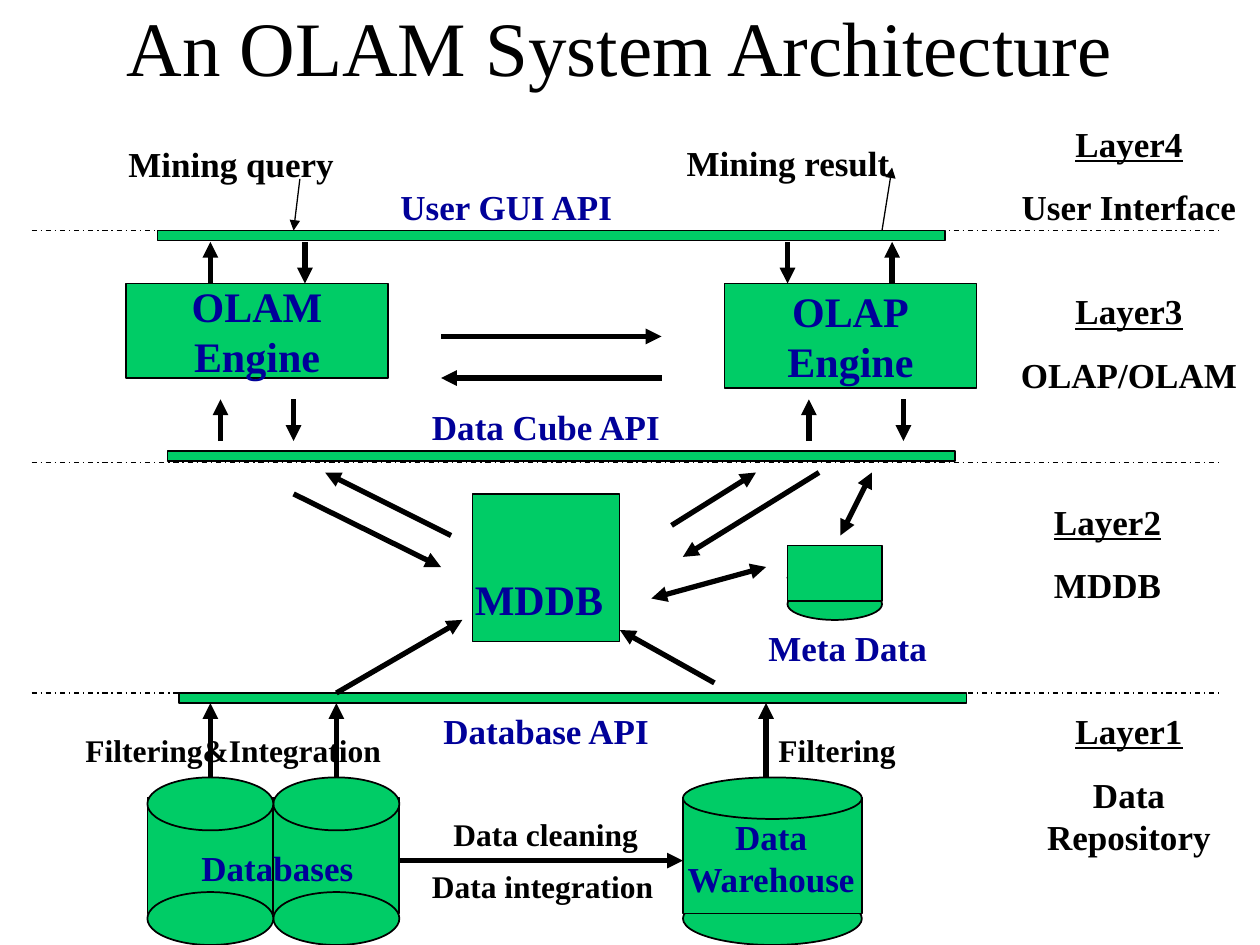
from lxml.etree import SubElement
from pptx import Presentation
from pptx.dml.color import RGBColor
from pptx.enum.dml import MSO_LINE
from pptx.enum.shapes import MSO_CONNECTOR, MSO_SHAPE
from pptx.enum.text import MSO_ANCHOR, PP_ALIGN
from pptx.oxml.ns import qn
from pptx.util import Inches, Pt

BLACK, BLUE, GREEN = "000000", "000099", "00CC66"
FONT = "Times New Roman"
RECT, OVAL = MSO_SHAPE.RECTANGLE, MSO_SHAPE.OVAL


def paint(form, color):
    """Give a fill or font a solid colour from a hex string."""
    form.rgb = RGBColor.from_string(color)


class Board:
    """The current slide and the style of its parts."""

    def __init__(self, slide):
        self.shapes = slide.shapes

    def label(self, frame, text, size, color, bold=True, center=True, gap=0):
        """Fill a frame, one paragraph a line, with gap points between them."""
        frame.text = text
        for i, para in enumerate(frame.paragraphs):
            para.alignment = PP_ALIGN.CENTER if center else PP_ALIGN.LEFT
            para.space_before = Pt(gap if i else 0)
            para.font.name, para.font.size = FONT, Pt(size)
            para.font.bold = bold
            paint(para.font.color, color)

    def text(self, x, y, w, h, text, size=20, color=BLACK, **style):
        box = self.shapes.add_textbox(Inches(x), Inches(y), Inches(w), Inches(h))
        box.text_frame.word_wrap = True
        self.label(box.text_frame, text, size, color, **style)
        return box.text_frame

    def shape(self, kind, x, y, w, h, line=1):
        item = self.shapes.add_shape(kind, Inches(x), Inches(y), Inches(w), Inches(h))
        item.shadow.inherit = False
        item.fill.solid()
        paint(item.fill.fore_color, GREEN)
        paint(item.line.color, BLACK)
        item.line.width = Pt(line)
        return item

    def engine(self, x, w, h, name):
        frame = self.shape(RECT, x, 2.25, w, h).text_frame
        frame.word_wrap = False
        frame.vertical_anchor = MSO_ANCHOR.MIDDLE
        self.label(frame, f"{name}\nEngine", 24, BLUE)

    def line(self, x1, y1, x2, y2, width=0.75):
        item = self.shapes.add_connector(
            MSO_CONNECTOR.STRAIGHT, Inches(x1), Inches(y1), Inches(x2), Inches(y2))
        paint(item.line.color, BLACK)
        item.line.width = Pt(width)
        SubElement(item._element.spPr, qn("a:effectLst"))
        return item

    def arrow(self, x1, y1, x2, y2, width=3, both=False):
        """Point from the first end to the second, or both ways."""
        item = self.line(x1, y1, x2, y2, width)
        ends = ("a:headEnd", "a:tailEnd") if both else ("a:tailEnd",)
        for end in ends:
            SubElement(item.line._get_or_add_ln(), qn(end), type="triangle")


def main():
    deck = Presentation()
    deck.slide_width, deck.slide_height = Inches(10), Inches(7.5)
    board = Board(deck.slides.add_slide(deck.slide_layouts[6]))

    title = board.text(0.42, 0.08, 9, 0.57, "An OLAM System Architecture", 44, bold=False)
    title.vertical_anchor = MSO_ANCHOR.MIDDLE

    # Layer bars and borders
    for x, y, border in ((1.25, 1.83, 1.83), (1.33, 3.58, 3.67), (1.42, 5.5, 5.5)):
        board.line(0.25, border, 9.67, border).line.dash_style = MSO_LINE.DASH_DOT
        board.shape(RECT, x, y, 6.25, 0.08)

    # Engines and cube store
    board.engine(1, 2.08, 0.75, "OLAM")
    board.engine(5.75, 2, 0.83, "OLAP")
    board.shape(RECT, 3.75, 3.92, 1.17, 1.17, 0.75)

    # Meta data, warehouse and database drums
    board.shape(OVAL, 6.25, 4.67, 0.75, 0.25)
    board.shape(OVAL, 6.25, 4.5, 0.75, 0.17)
    board.shape(RECT, 6.25, 4.33, 0.75, 0.44)
    board.shape(OVAL, 5.42, 7.08, 1.42, 0.42)
    board.shape(RECT, 5.42, 6.33, 1.42, 0.92)
    board.shape(OVAL, 5.42, 6.17, 1.42, 0.33)
    for x in (2.17, 1.17):
        board.shape(RECT, x, 6.33, 1, 0.92)
        for y in (6.17, 7.08):
            board.shape(OVAL, x, y, 1, 0.42)

    # Upright arrows: top, bottom, those pointing up, those pointing down
    for top, low, ups, downs in (
        (1.92, 2.25, (1.67, 7.08), (2.42, 6.25)),
        (3.17, 3.5, (1.75, 6.42), (2.33, 7.17)),
        (5.58, 6.17, (1.67, 2.67, 6.08), ()),
    ):
        for x in ups:
            board.arrow(x, low, x, top)
        for x in downs:
            board.arrow(x, top, x, low)

    for ends in (
        (3.5, 2.67, 5.25, 2.67), (5.25, 3, 3.5, 3),
        (3.58, 4.25, 2.58, 3.75), (2.33, 3.92, 3.5, 4.5),
        (5.33, 4.17, 6, 3.75), (6.5, 3.75, 5.42, 4.42),
        (2.67, 5.5, 3.67, 4.92), (5.67, 5.42, 4.92, 5),
        (3.17, 6.83, 5.42, 6.83),
    ):
        board.arrow(*ends)
    for ends in ((5.17, 4.75, 6.08, 4.5), (6.67, 4.25, 6.92, 3.75)):
        board.arrow(*ends, both=True)
    for ends in ((2.38, 1.42, 2.33, 1.83), (7, 1.83, 7.08, 1.33)):
        board.arrow(*ends, width=0.75)

    # Labels
    board.text(0.75, 1.08, 2.17, 0.44, "Mining query")
    board.text(5.17, 1.07, 2.17, 0.44, "Mining result")
    board.text(5.33, 6.42, 1.58, 0.77, "Data\nWarehouse", color=BLUE)
    board.text(3.67, 4.5, 1.25, 0.5, "MDDB", 24, BLUE, center=False)
    for x, y, w, name in (
        (3.08, 1.42, 2.17, "User GUI API"),
        (3.33, 3.17, 2.1, "Data Cube API"),
        (3.42, 5.58, 1.9, "Database API"),
        (6, 4.92, 1.46, "Meta Data"),
        (1.5, 6.67, 1.46, "Databases"),
    ):
        board.text(x, y, w, 0.44, name, color=BLUE, center=False)
    for x, y, w, name in (
        (0.58, 5.75, 2.75, "Filtering&Integration"),
        (6.08, 5.75, 1.17, "Filtering"),
        (3.5, 6.42, 1.7, "Data cleaning"),
        (3.33, 6.83, 2.25, "Data integration"),
    ):
        board.text(x, y, w, 0.4, name, 18, center=False)
    for x, y, h, rank, name in (
        (7.92, 0.92, 0.94, 4, "User Interface"),
        (7.92, 2.25, 0.94, 3, "OLAP/OLAM"),
        (7.75, 3.92, 0.94, 2, "MDDB"),
        (7.92, 5.58, 1.28, 1, "Data Repository"),
    ):
        frame = board.text(x, y, 2.08, h, f"Layer{rank}\n{name}", gap=12.5)
        frame.paragraphs[0].font.underline = True

    deck.save("out.pptx")


if __name__ == "__main__":
    main()
